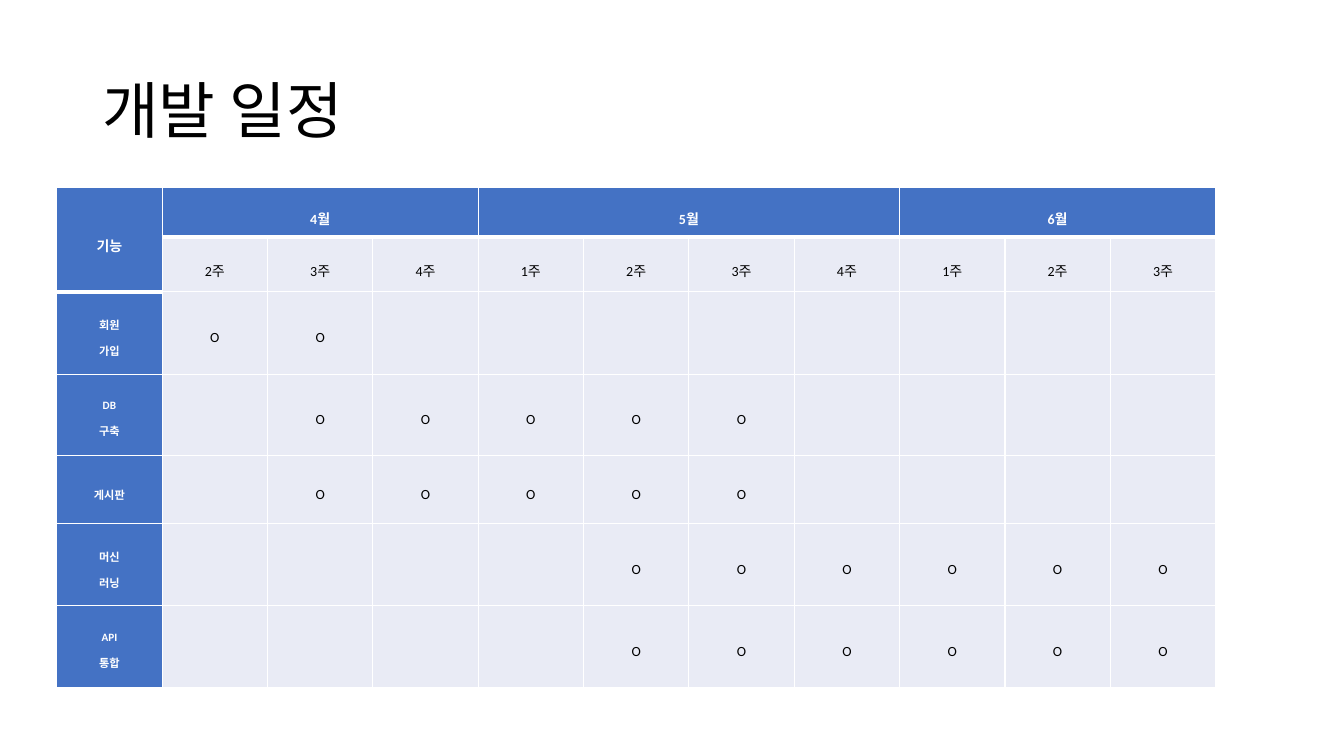
from lxml.etree import SubElement
from pptx import Presentation
from pptx.dml.color import RGBColor
from pptx.enum.text import MSO_ANCHOR as Anchor, PP_ALIGN as Align
from pptx.oxml.ns import qn
from pptx.util import Cm, Pt

FONT = "Calibri"
BLUE, PALE, WHITE, BLACK = "4472C4", "E9EBF5", "FFFFFF", "000000"

MONTHS = [("4월", 2, 4), ("5월", 1, 4), ("6월", 1, 3)]  # name, first and last week
# Feature, first and last busy column
FEATURES = [("회원\n가입", 1, 2), ("DB\n구축", 2, 6), ("게시판", 2, 6),
            ("머신\n러닝", 5, 10), ("API\n통합", 5, 10)]
ROW_HEIGHTS = [1.27, 1.37, 2.08, 2.06, 1.7, 2.08, 2.06]


def rgb(color):
    return RGBColor.from_string(color)


def format_text(tf, size, color, spacing, align=Align.LEFT, bold=False):
    for p in tf.paragraphs:
        p.alignment = align
        p.line_spacing = spacing
        for r in p.runs:
            r.font.name = FONT
            r.font.size = Pt(size)
            r.font.bold = bold
            r.font.color.rgb = rgb(color)


def set_border(cell, side, width):
    ln = SubElement(cell._tc.get_or_add_tcPr(), qn(f"a:ln{side}"), w=str(Pt(width)))
    fill = SubElement(ln, qn("a:solidFill"))
    SubElement(fill, qn("a:srgbClr"), val=WHITE)


def style_cell(cell, fill, top=1, bottom=1):
    for side, width in (("L", 1), ("R", 1), ("T", top), ("B", bottom)):
        set_border(cell, side, width)
    cell.fill.solid()
    cell.fill.fore_color.rgb = rgb(fill)
    cell.vertical_anchor = Anchor.MIDDLE
    cell.margin_left = cell.margin_right = Cm(0.18)
    cell.margin_top = cell.margin_bottom = 0


def write_cell(cell, text, size=10, color=BLACK, bold=False):
    cell.text_frame.text = text
    format_text(cell.text_frame, size, color, 1.6, Align.CENTER, bold)


def add_title(slide, left, top, width, height):
    tf = slide.shapes.add_textbox(left, top, width, height).text_frame
    tf.word_wrap = True
    tf.vertical_anchor = Anchor.MIDDLE
    tf.text = "개발 일정"
    format_text(tf, 44, BLACK, 0.9)


def add_schedule(slide, left, top, width, height):
    week_count = sum(last - first + 1 for _, first, last in MONTHS)
    table = slide.shapes.add_table(len(ROW_HEIGHTS), week_count + 1,
                                   left, top, width, height).table
    for column in table.columns:
        column.width = width // (week_count + 1)
    for row, share in zip(table.rows, ROW_HEIGHTS):
        row.height = int(height * share / sum(ROW_HEIGHTS))

    # Fills and borders, with a thick rule under the header
    for i in range(len(ROW_HEIGHTS)):
        for j in range(week_count + 1):
            last_header = 1 if j == 0 else 0
            style_cell(table.cell(i, j), BLUE if i == 0 or j == 0 else PALE,
                       top=3 if i == last_header + 1 else 1,
                       bottom=3 if i <= last_header else 1)

    # Header: months above their weeks
    corner = table.cell(0, 0)
    corner.merge(table.cell(1, 0))
    write_cell(corner, "기능", color=WHITE, bold=True)
    start = 1
    for month, first, last in MONTHS:
        end = start + last - first
        table.cell(0, start).merge(table.cell(0, end))
        write_cell(table.cell(0, start), month, color=WHITE, bold=True)
        for j in range(start, end + 1):
            write_cell(table.cell(1, j), f"{first + j - start}주")
        start = end + 1

    # Features and their busy weeks
    for i, (feature, first, last) in enumerate(FEATURES, start=2):
        write_cell(table.cell(i, 0), feature, 8, WHITE, True)
        for j in range(first, last + 1):
            write_cell(table.cell(i, j), "O")


def main():
    prs = Presentation()
    prs.slide_width, prs.slide_height = Cm(33.87), Cm(19.05)
    slide = prs.slides.add_slide(prs.slide_layouts[6])
    add_title(slide, Cm(2.33), Cm(1.01), Cm(29.21), Cm(3.68))
    add_schedule(slide, Cm(1.43), Cm(4.71), Cm(29.21), Cm(12.62))
    prs.save("out.pptx")


if __name__ == "__main__":
    main()
